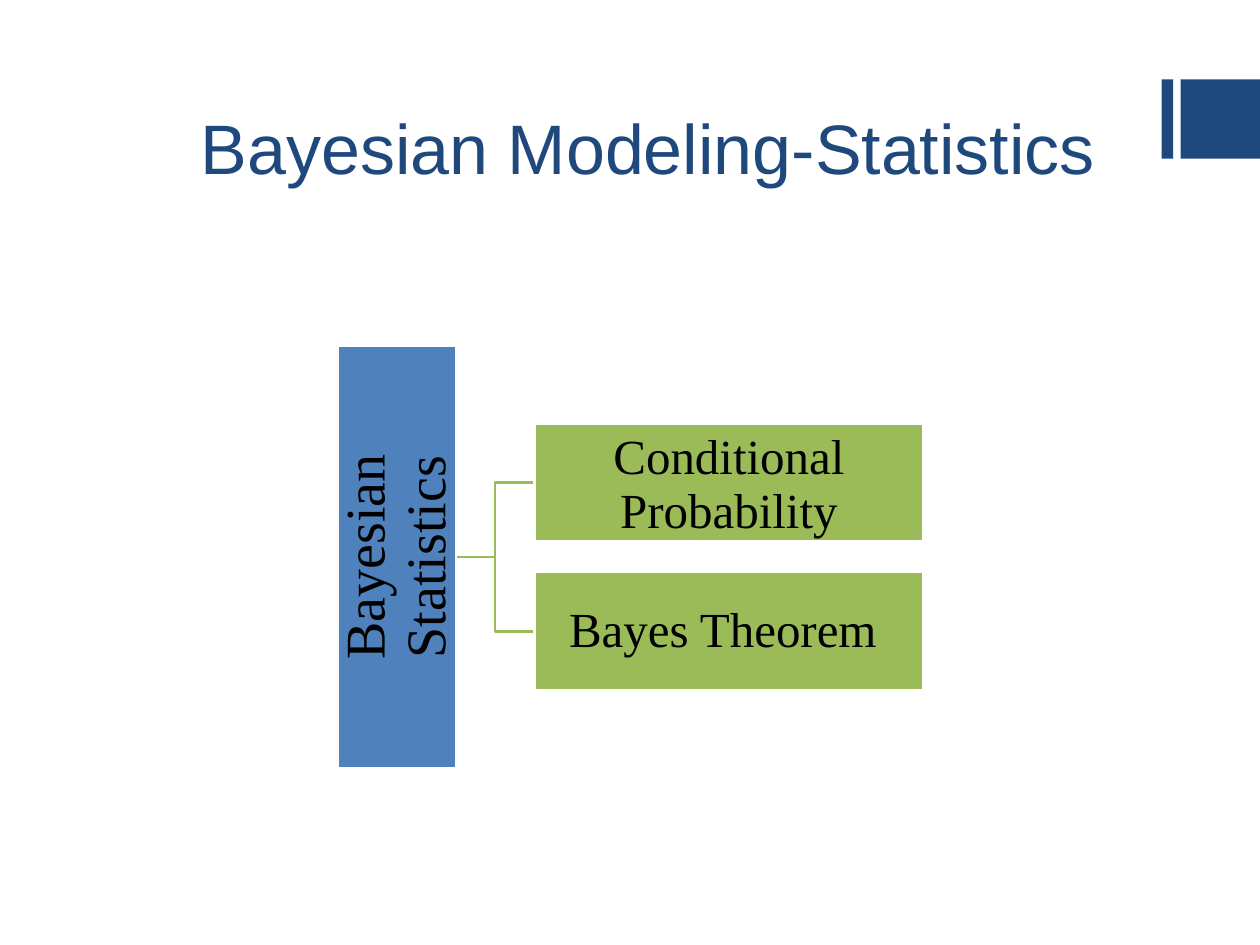
from dataclasses import dataclass

from pptx import Presentation
from pptx.dml.color import RGBColor as RGB
from pptx.enum.shapes import MSO_SHAPE as SHAPE
from pptx.enum.text import MSO_ANCHOR as ANCHOR, PP_ALIGN as ALIGN
from pptx.util import Inches, Pt


@dataclass(frozen=True)
class Theme:
    navy: RGB = RGB(0x1F, 0x49, 0x7D)
    blue: RGB = RGB(0x4F, 0x81, 0xBD)
    green: RGB = RGB(0x9B, 0xBB, 0x59)
    white: RGB = RGB(0xFF, 0xFF, 0xFF)
    black: RGB = RGB(0, 0, 0)
    title_font: str = "Arial"
    body_font: str = "Times New Roman"
    title_size: int = 40
    root_size: int = 32
    branch_size: int = 28
    line_width: float = 1.5


THEME = Theme()
NODE_HEIGHT = 0.94
CENTER_Y = 4.42
ROOT_LENGTH = 3.36
ROOT_CENTER_X = 3.15
BRANCH_LEFT = 4.24
BRANCH_WIDTH = 3.09
BRANCH_PITCH = 1.18


def add_run(paragraph, text, font, size, color):
    run = paragraph.add_run()
    run.text = text
    run.font.name = font
    run.font.size = Pt(size)
    run.font.color.rgb = color


def add_title(slide, text):
    title = slide.shapes.title
    title.left, title.top = Inches(1.14), Inches(0.29)
    title.width, title.height = Inches(8), Inches(1.26)
    frame = title.text_frame
    frame.vertical_anchor = ANCHOR.BOTTOM
    heading = frame.paragraphs[0]
    heading.alignment = ALIGN.CENTER
    add_run(heading, text, THEME.title_font, THEME.title_size, THEME.navy)


def add_block(slide, left, top, width, height, color):
    block = slide.shapes.add_shape(
        SHAPE.RECTANGLE, Inches(left), Inches(top), Inches(width), Inches(height)
    )
    block.shadow.inherit = False
    block.fill.solid()
    block.fill.fore_color.rgb = color
    block.line.fill.background()
    return block


def add_node(slide, left, center_y, width, color, runs, side_inset=0.02):
    node = add_block(slide, left, center_y - NODE_HEIGHT / 2, width, NODE_HEIGHT, color)
    node.line.color.rgb = THEME.white
    node.line.width = Pt(THEME.line_width)
    frame = node.text_frame
    frame.word_wrap = True
    frame.vertical_anchor = ANCHOR.MIDDLE
    frame.margin_left = frame.margin_right = Inches(side_inset)
    frame.margin_top = frame.margin_bottom = Inches(0.02)
    label = frame.paragraphs[0]
    label.alignment = ALIGN.CENTER
    label.line_spacing = 0.9
    for text, size in runs:
        add_run(label, text, THEME.body_font, size, THEME.black)
    return node


def add_branch_line(slide, start_x, end_x, end_y):
    middle_x = (start_x + end_x) / 2
    corners = [(middle_x, CENTER_Y), (middle_x, end_y), (end_x, end_y)]
    builder = slide.shapes.build_freeform(Inches(start_x), Inches(CENTER_Y))
    builder.add_line_segments([(Inches(x), Inches(y)) for x, y in corners], close=False)
    elbow = builder.convert_to_shape()
    elbow.shadow.inherit = False
    elbow.fill.background()
    elbow.line.color.rgb = THEME.green
    elbow.line.width = Pt(THEME.line_width)


def add_hierarchy(slide):
    branches = [
        [("Conditional", THEME.branch_size), (" ", THEME.root_size),
         ("Probability", THEME.branch_size)],
        [("Bayes Theorem ", THEME.branch_size)],
    ]
    first_y = CENTER_Y - BRANCH_PITCH * (len(branches) - 1) / 2
    centers = [first_y + BRANCH_PITCH * index for index in range(len(branches))]
    for center_y in centers:
        add_branch_line(slide, ROOT_CENTER_X + NODE_HEIGHT / 2, BRANCH_LEFT, center_y)
    root = add_node(
        slide, ROOT_CENTER_X - ROOT_LENGTH / 2, CENTER_Y, ROOT_LENGTH, THEME.blue,
        [("Bayesian Statistics", THEME.root_size)], side_inset=0.1,
    )
    root.rotation = 270
    for center_y, runs in zip(centers, branches):
        add_node(slide, BRANCH_LEFT, center_y, BRANCH_WIDTH, THEME.green, runs)


def main():
    deck = Presentation()
    deck.slide_width, deck.slide_height = Inches(10), Inches(7.5)
    slide = deck.slides.add_slide(deck.slide_layouts[5])
    for left, width in [(9.22, 0.09), (9.37, 0.63)]:
        add_block(slide, left, 0.63, width, 0.63, THEME.navy)
    add_title(slide, "Bayesian Modeling-Statistics")
    add_hierarchy(slide)
    deck.save("out.pptx")


if __name__ == "__main__":
    main()
